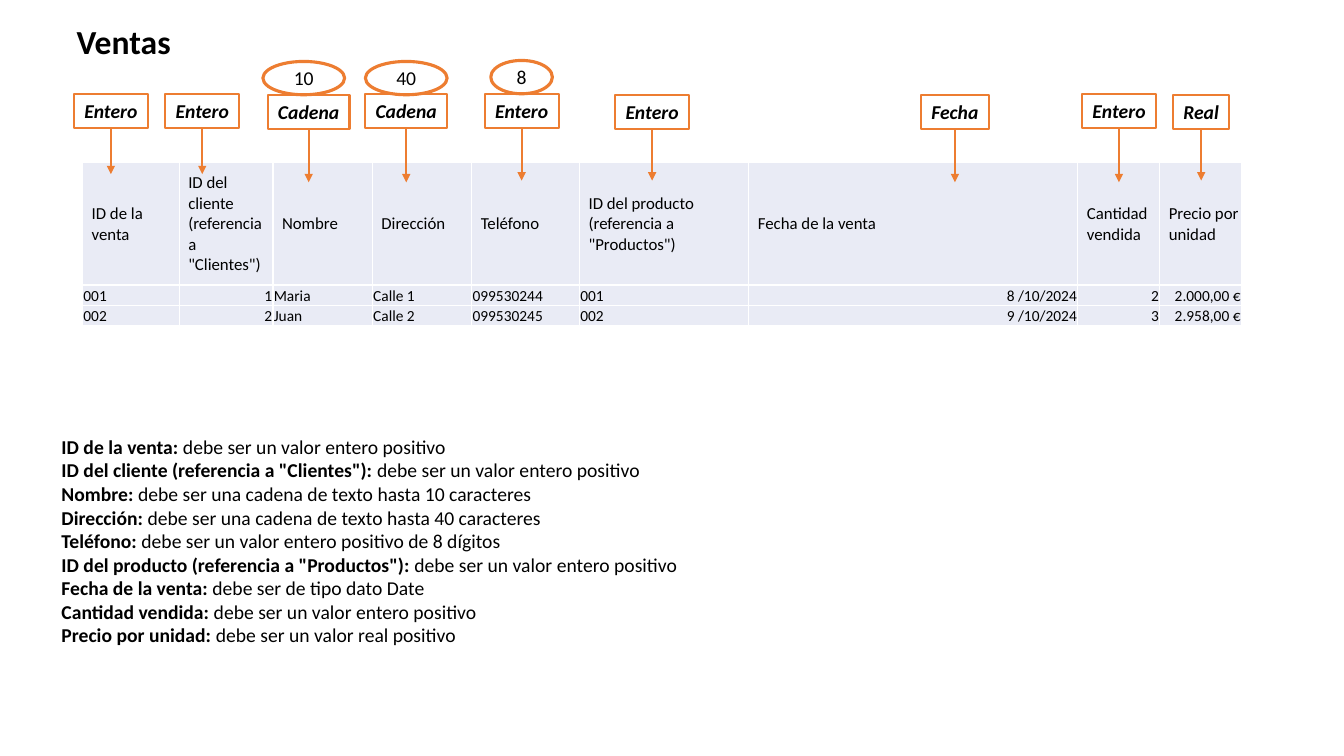
from lxml import etree
from pptx import Presentation
from pptx.dml.color import RGBColor
from pptx.enum.shapes import MSO_CONNECTOR, MSO_SHAPE
from pptx.enum.text import MSO_ANCHOR, MSO_AUTO_SIZE, PP_ALIGN
from pptx.oxml.ns import qn
from pptx.util import Pt

BLACK = RGBColor(0x00, 0x00, 0x00)
WHITE = RGBColor(0xFF, 0xFF, 0xFF)
ORANGE = RGBColor(0xED, 0x7D, 0x31)
LAVENDER = RGBColor(0xE9, 0xEB, 0xF5)

RECTANGLE, OVAL = MSO_SHAPE.RECTANGLE, MSO_SHAPE.OVAL
STRAIGHT = MSO_CONNECTOR.STRAIGHT
TOP, MIDDLE, BOTTOM = MSO_ANCHOR.TOP, MSO_ANCHOR.MIDDLE, MSO_ANCHOR.BOTTOM
LEFT, CENTER, RIGHT = PP_ALIGN.LEFT, PP_ALIGN.CENTER, PP_ALIGN.RIGHT
NO_FIT = MSO_AUTO_SIZE.NONE

COLUMN_WIDTHS = [69, 67, 71, 71, 77, 121, 235, 58.5, 58.5]
ROW_HEIGHTS = [87.6, 14.6, 14.6]
RIGHT_COLUMNS = {1, 6, 7, 8}
SALES = [
    ["ID de la venta", 'ID del cliente (referencia a "Clientes")', "Nombre",
     "Dirección", "Teléfono", 'ID del producto (referencia a "Productos")',
     "Fecha de la venta", "Cantidad vendida", "Precio por unidad"],
    ["001", "1", "Maria", "Calle 1", "099530244", "001", "8 /10/2024", "2", "2.000,00 €"],
    ["002", "2", "Juan", "Calle 2", "099530245", "002", "9 /10/2024", "3", "2.958,00 €"],
]
HEADER_CELL = {"vertical_anchor": MIDDLE, "margin_left": Pt(6.5), "margin_top": Pt(0.6),
               "margin_right": Pt(0.6), "margin_bottom": 0}
RECORD_CELL = {**HEADER_CELL, "vertical_anchor": BOTTOM, "margin_left": Pt(0.6)}

TAG_WIDTHS = {"Entero": 52.8, "Cadena": 58.4, "Fecha": 48.4, "Real": 40.2}
TAG_HEIGHT = 24.4
TYPE_TAGS = [
    ("Entero", 26.2, 23.7, 81.2), ("Entero", 91.5, 23.7, 81.2),
    ("Cadena", 167.5, 24.4, 87), ("Cadena", 237.2, 23.7, 87),
    ("Entero", 319.6, 23.7, 85.8), ("Entero", 412.8, 24.4, 85.8),
    ("Fecha", 629.1, 24.4, 87), ("Entero", 746.3, 23.7, 87),
    ("Real", 805, 24.4, 85.8),
]
LIMITS = [("40", 237.2, 0.7, 58.4), ("10", 164, 0.7, 58.4), ("8", 319.6, 0, 44)]
LIMIT_HEIGHT = 23.8

RULES = [
    ("ID de la venta:", "debe ser un valor entero positivo"),
    ('ID del cliente (referencia a "Clientes"):', "debe ser un valor entero positivo"),
    ("Nombre:", "debe ser una cadena de texto hasta 10 caracteres"),
    ("Dirección:", "debe ser una cadena de texto hasta 40 caracteres"),
    ("Teléfono:", "debe ser un valor entero positivo de 8 dígitos"),
    ('ID del producto (referencia a "Productos"):', "debe ser un valor entero positivo"),
    ("Fecha de la venta:", "debe ser de tipo dato Date"),
    ("Cantidad vendida:", "debe ser un valor entero positivo"),
    ("Precio por unidad:", "debe ser un valor real positivo"),
]


def apply_format(target, values):
    for name, value in values.items():
        setattr(target, name, value)


def write(paragraph, words, size, align=LEFT, bold=False, italic=False):
    paragraph.alignment = align
    run = paragraph.add_run()
    run.text = words
    apply_format(run.font, {"name": "Calibri", "size": Pt(size), "bold": bold, "italic": italic})
    run.font.color.rgb = BLACK


def place(placeholder, left, top, width, height):
    apply_format(placeholder, {"left": Pt(left), "top": Pt(top),
                               "width": Pt(width), "height": Pt(height)})
    apply_format(placeholder.text_frame, {"auto_size": NO_FIT, "vertical_anchor": TOP,
                                          "word_wrap": True})


def fill_title(title, left, top, width, height):
    place(title, left, top, width, height)
    write(title.text_frame.paragraphs[0], "Ventas", 24, bold=True)


def fill_rules(body, left, top, width, height):
    place(body, left, top, width, height)
    frame = body.text_frame
    for index, (field, rule) in enumerate(RULES):
        paragraph = frame.add_paragraph() if index else frame.paragraphs[0]
        apply_format(paragraph, {"space_before": Pt(0), "space_after": Pt(0)})
        write(paragraph, field + " ", 14, bold=True)
        write(paragraph, rule, 14)
        properties = paragraph._p.get_or_add_pPr()
        properties.set("marL", "0")
        properties.set("indent", "0")
        etree.SubElement(properties, qn("a:buNone"))


def add_borders(cell):
    properties = cell._tc.get_or_add_tcPr()
    for position, side in enumerate(("a:lnL", "a:lnR", "a:lnT", "a:lnB")):
        border = etree.Element(qn(side), w=str(Pt(1)))
        fill = etree.SubElement(border, qn("a:solidFill"))
        etree.SubElement(fill, qn("a:srgbClr"), val=str(WHITE))
        properties.insert(position, border)


def add_sales_table(slide, left, top):
    table = slide.shapes.add_table(
        len(ROW_HEIGHTS), len(COLUMN_WIDTHS), Pt(left), Pt(top),
        Pt(sum(COLUMN_WIDTHS)), Pt(sum(ROW_HEIGHTS))).table
    apply_format(table, {"first_row": False, "horz_banding": False})
    for column, width in zip(table.columns, COLUMN_WIDTHS):
        column.width = Pt(width)
    for row, height in zip(table.rows, ROW_HEIGHTS):
        row.height = Pt(height)
    for row_index, record in enumerate(SALES):
        for column_index, entry in enumerate(record):
            cell = table.cell(row_index, column_index)
            apply_format(cell, RECORD_CELL if row_index else HEADER_CELL)
            cell.fill.solid()
            cell.fill.fore_color.rgb = LAVENDER
            add_borders(cell)
            align = RIGHT if row_index and column_index in RIGHT_COLUMNS else LEFT
            write(cell.text_frame.paragraphs[0], entry, 11 if row_index else 12, align)


def add_outlined(slide, preset, box, label, weight, anchor, emphasis):
    outlined = slide.shapes.add_shape(preset, *map(Pt, box))
    outlined.shadow.inherit = False
    outlined.line.color.rgb = ORANGE
    outlined.line.width = Pt(weight)
    apply_format(outlined.text_frame, {"word_wrap": False, "vertical_anchor": anchor,
                                       "margin_left": 0, "margin_right": 0})
    write(outlined.text_frame.paragraphs[0], label, 14, CENTER, emphasis, emphasis)
    return outlined


def add_arrow(slide, tag, tip):
    center = tag.left + tag.width // 2
    arrow = slide.shapes.add_connector(STRAIGHT, center, tag.top + tag.height, center, Pt(tip))
    arrow.begin_connect(tag, 2)
    arrow.line.color.rgb = ORANGE
    arrow.line.width = Pt(1.5)
    etree.SubElement(arrow.line._get_or_add_ln(), qn("a:tailEnd"), type="triangle")
    etree.SubElement(arrow._element.spPr, qn("a:effectLst"))


def add_type_tags(slide, left, top):
    for label, center, offset, tip in TYPE_TAGS:
        width = TAG_WIDTHS[label]
        box = (left + center - width / 2, top + offset, width, TAG_HEIGHT)
        tag = add_outlined(slide, RECTANGLE, box, label, 1.5, TOP, True)
        tag.fill.background()
        add_arrow(slide, tag, top + tip)
    for label, center, offset, width in LIMITS:
        box = (left + center - width / 2, top + offset, width, LIMIT_HEIGHT)
        limit = add_outlined(slide, OVAL, box, label, 2.25, MIDDLE, False)
        limit.fill.solid()
        limit.fill.fore_color.rgb = WHITE


def main():
    deck = Presentation()
    apply_format(deck, {"slide_width": Pt(960), "slide_height": Pt(540)})
    slide = deck.slides.add_slide(deck.slide_layouts[1])
    add_sales_table(slide, 59, 116)
    fill_title(slide.shapes.title, 47.5, 11.5, 91, 36)
    fill_rules(slide.placeholders[1], 36.7, 307, 480, 160)
    add_type_tags(slide, 53, 43.2)
    deck.save("out.pptx")


if __name__ == "__main__":
    main()
